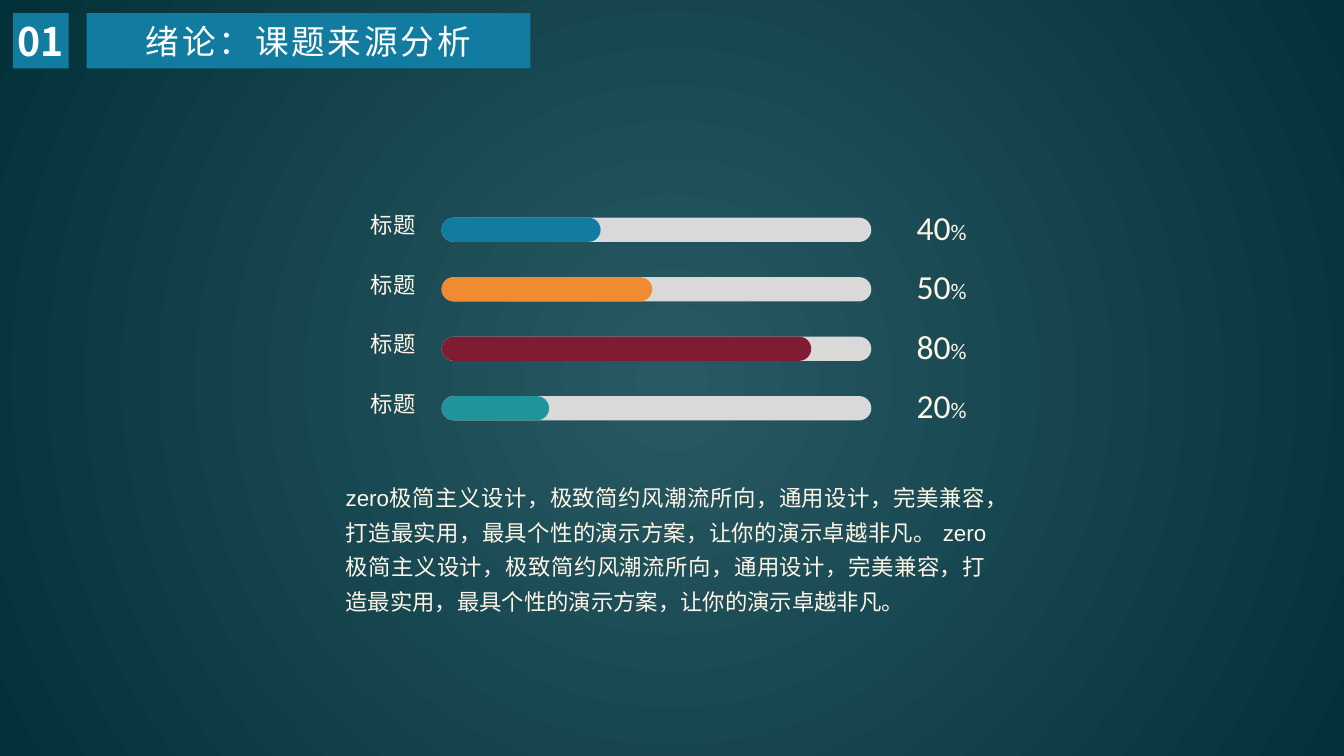
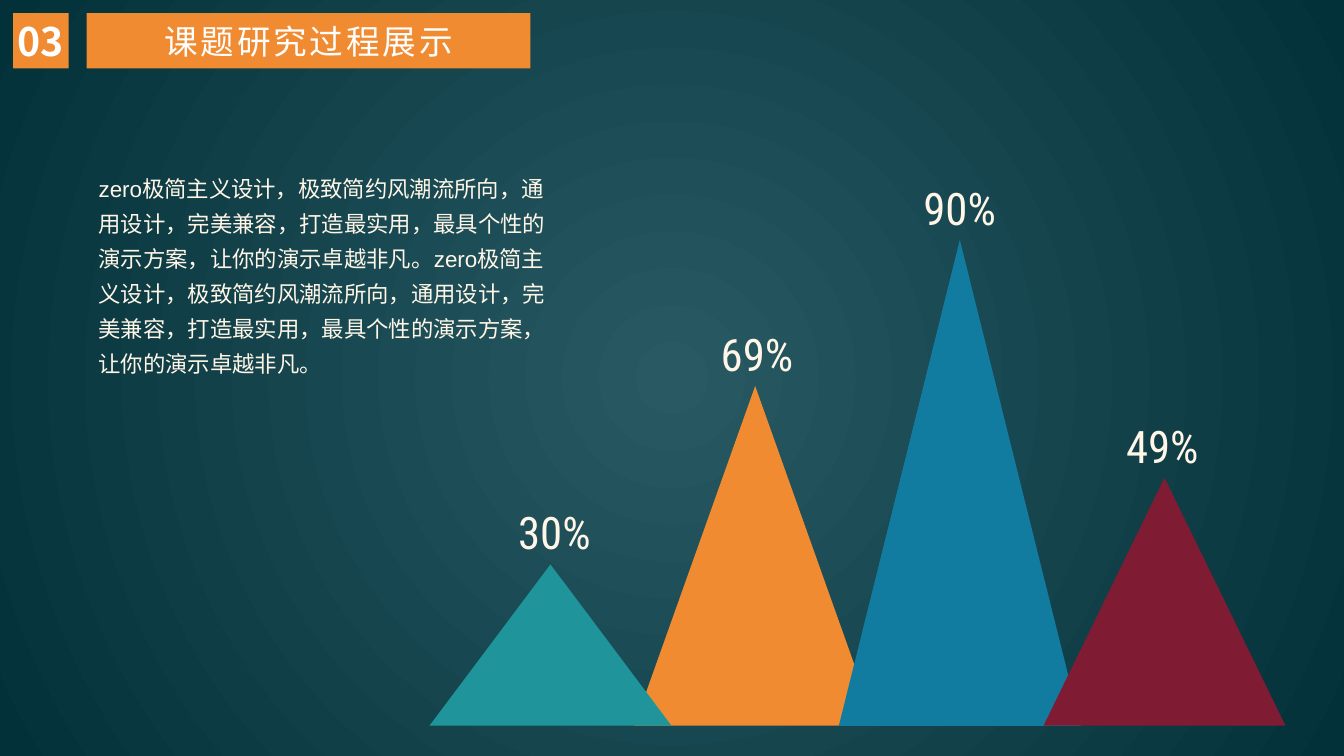
from lxml import etree
from pptx import Presentation
from pptx.dml.color import RGBColor
from pptx.enum.shapes import MSO_SHAPE
from pptx.enum.text import MSO_ANCHOR, MSO_AUTO_SIZE, PP_ALIGN
from pptx.oxml.ns import qn
from pptx.util import Inches, Pt

RECT, PILL, PEAK = MSO_SHAPE.RECTANGLE, MSO_SHAPE.ROUNDED_RECTANGLE, MSO_SHAPE.ISOSCELES_TRIANGLE
TOP, MIDDLE = MSO_ANCHOR.TOP, MSO_ANCHOR.MIDDLE
LEFT, CENTER, RIGHT, JUSTIFY = PP_ALIGN.LEFT, PP_ALIGN.CENTER, PP_ALIGN.RIGHT, PP_ALIGN.JUSTIFY
NO_FIT, GROW = MSO_AUTO_SIZE.NONE, MSO_AUTO_SIZE.SHAPE_TO_FIT_TEXT

WIDE, HIGH = 13.33, 7.5
COLORS = {
    "glow": "295962", "deep": "023139", "white": "FFFFFF", "cream": "FFF6E7", "track": "D9D9D9",
    "blue": "127CA0", "orange": "F08B31", "red": "7F1C34", "teal": "1F959B",
}
HAN, SANS, DIGIT, SLIM = "Noto Sans CJK SC", "Arial", "Calibri", "Roboto Condensed"

PITCH = "zero极简主义设计，极致简约风潮流所向，通用设计，完美兼容，打造最实用，最具个性的演示方案，让你的演示卓越非凡。"
BARS = [("标题", 40, 0.37, "blue"), ("标题", 50, 0.49, "orange"),
        ("标题", 80, 0.86, "red"), ("标题", 20, 0.25, "teal")]
PEAKS = [(1, "69%", 3.37, "orange"), (0, "30%", 1.6, "teal"),
         (2, "90%", 4.82, "blue"), (3, "49%", 2.46, "red")]


def rgb(name):
    return RGBColor.from_string(COLORS[name])


def place(box):
    return [Inches(v) for v in box]


def paint(shape, color):
    shape.fill.solid()
    shape.fill.fore_color.rgb = rgb(color)
    shape.line.fill.background()


def block(slide, kind, box, color):
    shape = slide.shapes.add_shape(kind, *place(box))
    shape.shadow.inherit = False
    paint(shape, color)
    if kind == PILL:
        shape.adjustments[0] = 0.5
    return shape


def style(run, size, face, color="cream", bold=False):
    font = run.font
    font.size, font.name, font.bold = Pt(size), face, bold
    font.color.rgb = rgb(color)
    east = etree.SubElement(run._r.get_or_add_rPr(), qn("a:ea"))
    east.set("typeface", HAN)


def setup(frame, align, anchor=MIDDLE, inset=True, wrap=True, fit=NO_FIT):
    frame.word_wrap, frame.auto_size = wrap, fit
    frame.vertical_anchor = anchor
    if not inset:
        frame.margin_left = frame.margin_right = 0
        frame.margin_top = frame.margin_bottom = 0
    frame.paragraphs[0].alignment = align


def label(slide, box, text, size, face, align=LEFT, **opts):
    frame = slide.shapes.add_textbox(*place(box)).text_frame
    frame.text = text
    setup(frame, align, **opts)
    style(frame.paragraphs[0].runs[0], size, face)
    return frame.paragraphs[0]


def prose(slide, box, text, align, **opts):
    para = label(slide, box, text, 16, SANS, align, **opts)
    para.line_spacing = 1.3
    para.space_before = para.space_after = Pt(6)


def backdrop(master):
    fill = master.background.fill
    fill.gradient()
    for stop, name in zip(fill.gradient_stops, ("glow", "deep")):
        stop.color.rgb = rgb(name)
    grad = next(master.element.iter(qn("a:gradFill")))
    for node in list(master.element.iter(qn("p:bgPr"))):
        grad = node.find(qn("a:gradFill"))
    grad.remove(grad.find(qn("a:lin")))
    ring = etree.SubElement(grad, qn("a:path"), path="circle")
    etree.SubElement(ring, qn("a:fillToRect"), l="50000", t="50000", r="50000", b="50000")


def header(slide, box, number, text, color):
    left, top, width, height = box
    badge = block(slide, RECT, (left, top, height, height), color)
    badge.text_frame.text = number
    setup(badge.text_frame, CENTER, inset=False)
    style(badge.text_frame.paragraphs[0].runs[0], 28, HAN, "white", True)

    title = slide.shapes.title
    start = height + 0.18
    title.left, title.top, title.width, title.height = place((left + start, top, width - start, height))
    paint(title, color)
    title.text_frame.text = text
    setup(title.text_frame, CENTER)
    run = title.text_frame.paragraphs[0].runs[0]
    style(run, 24, HAN, "white")
    run._r.get_or_add_rPr().set("spc", "200")


def meters(slide, box):
    left, top, width, height = box
    step = height / len(BARS)
    start, span, thick = left + 1.16, width * 0.64, 0.24
    for row, (name, value, share, color) in enumerate(BARS):
        y = top + row * step
        label(slide, (left, y, 1, 0.4), name, 16, HAN, RIGHT)
        for size, tint in ((span, "track"), (span * share, color)):
            block(slide, PILL, (start, y + 0.13, size, thick), tint)
        spot = (left + width - 0.79, y + 0.03, 0.79, 0.38)
        para = label(slide, spot, str(value), 24, DIGIT, inset=False)
        sign = para.add_run()
        sign.text = "%"
        style(sign, 16, DIGIT)


def peaks(slide, box):
    left, top, width, height = box
    base, step = top + height, 2.03
    wide = width - step * (len(PEAKS) - 1)
    for col, _, tall, color in PEAKS:
        block(slide, PEAK, (left + col * step, base - tall, wide, tall), color)
    for col, text, tall, _ in PEAKS:
        spot = (left + 0.78 + col * 2.01, base - tall - 0.64, 1, 0.64)
        label(slide, spot, text, 32, SLIM, anchor=TOP, wrap=False, fit=GROW)


def main():
    deck = Presentation()
    deck.slide_width, deck.slide_height = place((WIDE, HIGH))
    backdrop(deck.slide_master)
    plain = deck.slide_layouts[5]
    band = (0.13, 0.13, 5.13, 0.55)

    intro = deck.slides.add_slide(plain)
    header(intro, band, "01", "绪论：课题来源分析", "blue")
    meters(intro, (3.22, 2.03, 6.66, 2.36))
    prose(intro, (3.33, 4.67, 6.55, 1.39), PITCH + " " + PITCH, JUSTIFY, anchor=TOP)

    study = deck.slides.add_slide(plain)
    header(study, band, "03", "课题研究过程展示", "orange")
    peaks(study, (4.26, 1.75, 8.49, 5.45))
    prose(study, (0.88, 1.6, 4.64, 2.2), PITCH * 2, LEFT, fit=GROW)

    deck.save("out.pptx")


if __name__ == "__main__":
    main()
